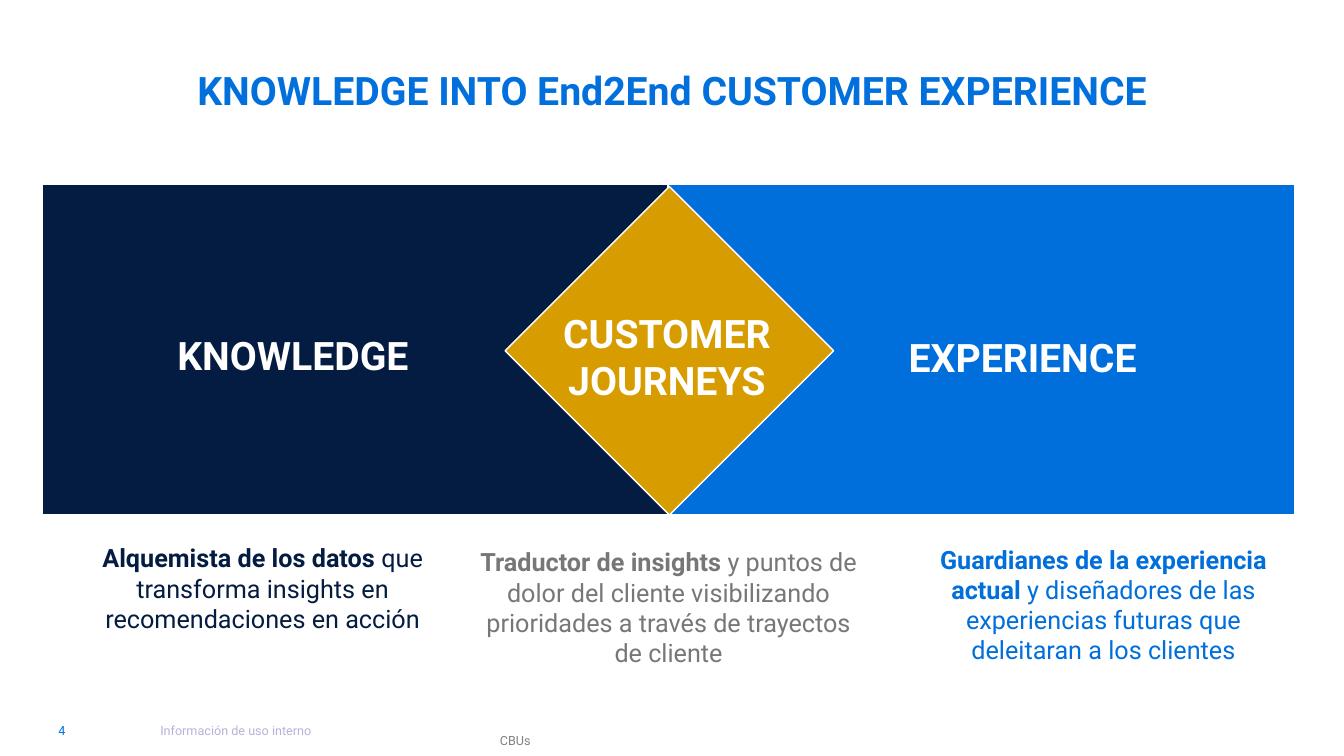
from typing import NamedTuple

from pptx import Presentation
from pptx import util as u
from pptx.dml.color import RGBColor
from pptx.enum import shapes, text

FONT = "Roboto"
COLORS = {
    "navy": "041C41",
    "blue": "006FDB",
    "title": "0170DD",
    "number": "0170DC",
    "gold": "D79C00",
    "white": "FFFFFF",
    "gray": "777777",
    "footer": "808080",
    "lilac": "B9B2D9",
}
LEFT, CENTER, RIGHT = text.PP_ALIGN.LEFT, text.PP_ALIGN.CENTER, text.PP_ALIGN.RIGHT
MIDDLE, BOTTOM = text.MSO_ANCHOR.MIDDLE, text.MSO_ANCHOR.BOTTOM


class Box(NamedTuple):
    """Position and size in centimetres."""
    left: float
    top: float
    width: float
    height: float


class Panel(NamedTuple):
    kind: shapes.MSO_SHAPE
    box: Box
    color: str


class Label(NamedTuple):
    """Text block: optional bold lead followed by regular body."""
    box: Box
    color: str
    size: int
    inset: tuple[float, float]
    lead: str = ""
    body: str = ""
    align: text.PP_ALIGN = CENTER
    anchor: text.MSO_ANCHOR = MIDDLE


BAND_TOP, BAND_HEIGHT = 4.65, 8.33
PANELS = [
    Panel(shapes.MSO_SHAPE.RECTANGLE, Box(1.07, BAND_TOP, 15.8, BAND_HEIGHT), "navy"),
    Panel(shapes.MSO_SHAPE.RECTANGLE, Box(16.84, BAND_TOP, 15.8, BAND_HEIGHT), "blue"),
    Panel(shapes.MSO_SHAPE.DIAMOND, Box(12.73, 4.7, 8.28, 8.28), "gold"),
]

HEADING_INSET, DETAIL_INSET, FOOTER_INSET = (0.33, 0.33), (0.2, 0.2), (1.02, 0.13)
LABELS = [
    Label(Box(0, 0.86, 33.87, 2.82), "title", 28, (1.02, 1.02),
          lead="KNOWLEDGE INTO End2End CUSTOMER EXPERIENCE"),
    Label(Box(11.71, 7.9, 10.19, 2.18), "white", 28, HEADING_INSET, lead="CUSTOMER JOURNEYS"),
    Label(Box(3.61, 7.82, 7.54, 2.26), "white", 28, HEADING_INSET, lead="KNOWLEDGE"),
    Label(Box(21.26, 7.87, 9.02, 2.26), "white", 28, HEADING_INSET, lead="EXPERIENCE"),
    Label(Box(1.68, 13.51, 9.88, 2.62), "navy", 18, DETAIL_INSET,
          lead="Alquemista de los datos ",
          body="que transforma insights en recomendaciones en acción"),
    Label(Box(11.81, 13.61, 10.08, 3.38), "gray", 18, DETAIL_INSET,
          lead="Traductor de insights ",
          body="y puntos de dolor del cliente visibilizando prioridades "
               "a través de trayectos de cliente"),
    Label(Box(22.78, 13.92, 10.06, 2.62), "blue", 18, DETAIL_INSET,
          lead="Guardianes de la experiencia actual ",
          body="y diseñadores de las experiencias futuras que deleitaran a los clientes"),
    Label(Box(0, 17.75, 2.67, 1.3), "number", 9, FOOTER_INSET, body="4", align=RIGHT),
    Label(Box(3.02, 17.7, 8.56, 1.4), "lilac", 9, FOOTER_INSET,
          body="Información de uso interno", align=LEFT),
    Label(Box(11.58, 17.75, 18.72, 1.3), "footer", 9, (1.02, 0.46),
          body="CBUs", align=LEFT, anchor=BOTTOM),
]


def rgb(name: str) -> RGBColor:
    return RGBColor.from_string(COLORS[name])


def add_panel(s, panel: Panel) -> None:
    sp = s.shapes.add_shape(panel.kind, *map(u.Cm, panel.box))
    sp.shadow.inherit = False
    sp.fill.solid()
    sp.fill.fore_color.rgb = rgb(panel.color)
    sp.line.color.rgb = rgb("white")
    sp.line.width = u.Pt(1)


def add_label(s, label: Label) -> None:
    tf = s.shapes.add_textbox(*map(u.Cm, label.box)).text_frame
    tf.word_wrap = True
    tf.vertical_anchor = label.anchor
    tf.margin_left = tf.margin_right = u.Cm(label.inset[0])
    tf.margin_top = tf.margin_bottom = u.Cm(label.inset[1])
    p = tf.paragraphs[0]
    p.alignment = label.align
    p.font.name = FONT
    p.font.size = u.Pt(label.size)
    p.font.color.rgb = rgb(label.color)
    for words, bold in ((label.lead, True), (label.body, False)):
        if words:
            r = p.add_run()
            r.text = words
            r.font.bold = bold


def main() -> None:
    prs = Presentation()
    prs.slide_width, prs.slide_height = u.Cm(33.87), u.Cm(19.05)
    s = prs.slides.add_slide(prs.slide_layouts[6])
    for panel in PANELS:
        add_panel(s, panel)
    for label in LABELS:
        add_label(s, label)
    prs.save("out.pptx")


if __name__ == "__main__":
    main()
